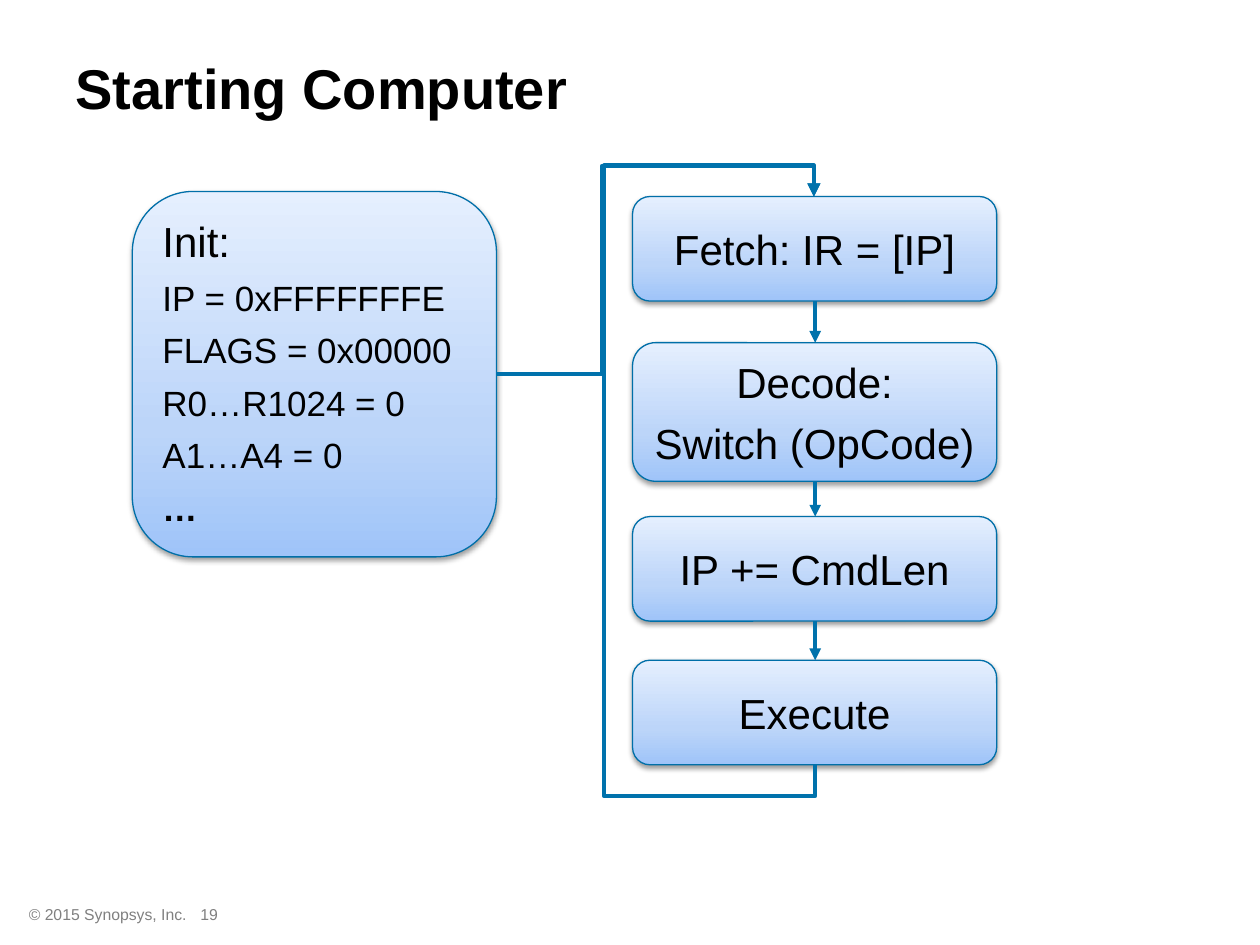
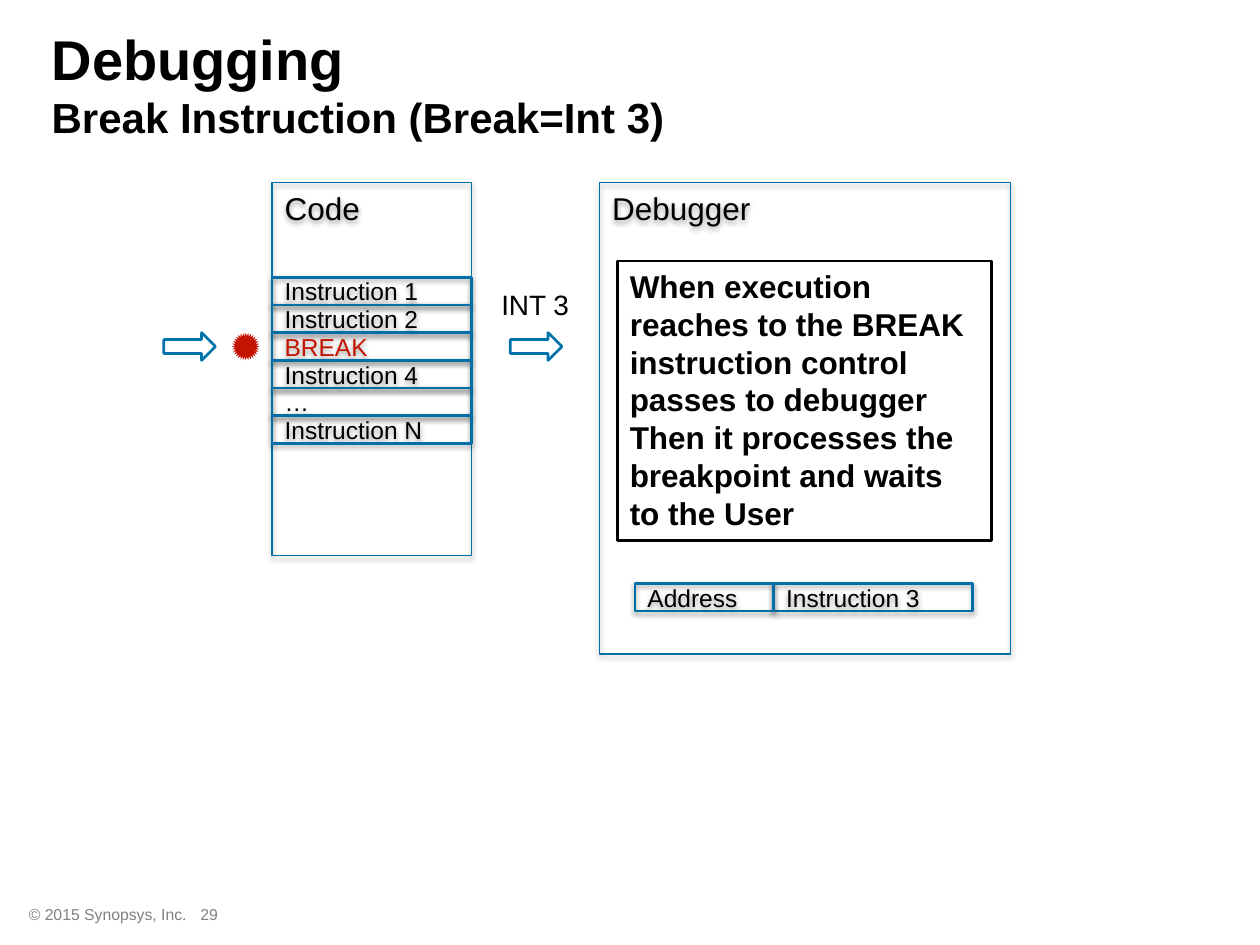
from dataclasses import dataclass
from itertools import pairwise

from lxml import etree
from pptx import Presentation
from pptx.dml.color import RGBColor
from pptx.enum import shapes, text
from pptx.oxml import ns
from pptx.util import Inches, Pt

FONT = "Arial"
COLORS = {
    "ink": "000000",
    "footer": "808080",
    "outline": "006FA8",
    "arrow": "0072AC",
    "break": "C41300",
    "shadow": "000000",
}
BOX_GRADIENT = [(0, "9FC4F9"), (35, "BCD5F9"), (100, "E5EFFE")]

KIND = shapes.MSO_SHAPE
ALIGN = text.PP_ALIGN
ANCHOR = text.MSO_ANCHOR


@dataclass
class Line:
    """One paragraph of text."""
    words: str
    size: float
    color: str = "ink"
    bold: bool = False


@dataclass
class Area:
    """A rectangle on the slide, in inches."""
    left: float
    top: float
    width: float
    height: float

    @property
    def bottom(self) -> float:
        return self.top + self.height

    def lengths(self) -> list:
        return [Inches(v) for v in (self.left, self.top, self.width, self.height)]


@dataclass
class Frame:
    """An outlined box with text and a soft shadow."""
    area: Area
    lines: list
    weight: float = 0.75
    align: ALIGN = ALIGN.LEFT
    anchor: ANCHOR = ANCHOR.TOP
    gradient: bool = False


def rgb(name: str) -> RGBColor:
    return RGBColor.from_string(COLORS[name])


def add_xml(parent, tag: str, **attributes):
    return etree.SubElement(parent, ns.qn(tag), attributes)


def set_font(font, size: float, color: str, bold: bool = False) -> None:
    font.name, font.size, font.bold = FONT, Pt(size), bold
    font.color.rgb = rgb(color)


def write(frame, lines: list, align=ALIGN.LEFT, gap: float = 0) -> None:
    for index, line in enumerate(lines):
        para = frame.add_paragraph() if index else frame.paragraphs[0]
        para.add_run().text = line.words
        para.alignment = align
        if index and gap:
            para.space_before = Pt(gap)
        set_font(para.font, line.size, line.color, line.bold)


def add_label(page, area: Area, line: Line, align=ALIGN.LEFT, wrap: bool = True) -> None:
    box = page.shapes.add_textbox(*area.lengths())
    box.text_frame.word_wrap = wrap
    write(box.text_frame, [line], align)


def add_plain(parent, kind, area: Area, outline: str = "", fill: str = "", weight: float = 1.5):
    """A flat shape without shadow."""
    shape = parent.add_shape(kind, *area.lengths())
    shape.shadow.inherit = False
    if fill:
        shape.fill.solid()
        shape.fill.fore_color.rgb = rgb(fill)
    else:
        shape.fill.background()
    if outline:
        shape.line.color.rgb = rgb(outline)
        shape.line.width = Pt(weight)
    else:
        shape.line.fill.background()
    return shape


def add_shadow(shape) -> None:
    effects = shape._element.spPr.find(ns.qn("a:effectLst"))
    shadow = add_xml(effects, "a:outerShdw", blurRad=str(Pt(3.1)), dist=str(Pt(1.6)),
                     dir="5400000", rotWithShape="0")
    color = add_xml(shadow, "a:srgbClr", val=COLORS["shadow"])
    add_xml(color, "a:alpha", val="38000")


def set_gradient(shape) -> None:
    shape.fill.gradient()
    shape.fill.gradient_angle = 90
    stops = shape._element.spPr.find(".//" + ns.qn("a:gsLst"))
    for stop in list(stops):
        stops.remove(stop)
    for percent, color in BOX_GRADIENT:
        stop = add_xml(stops, "a:gs", pos=str(percent * 1000))
        add_xml(stop, "a:srgbClr", val=color)


def add_frame(parent, frame: Frame) -> None:
    shape = add_plain(parent, KIND.ROUNDED_RECTANGLE, frame.area, "outline", weight=frame.weight)
    add_shadow(shape)
    if frame.gradient:
        set_gradient(shape)
    else:
        shape.adjustments[0] = 0
    shape.text_frame.word_wrap = True
    shape.text_frame.vertical_anchor = frame.anchor
    write(shape.text_frame, frame.lines, frame.align, gap=6)


def add_cell(parent, area: Area, words: str, color: str = "ink") -> None:
    add_frame(parent, Frame(area, [Line(words, 14, color)], 1.5, anchor=ANCHOR.MIDDLE))


def add_arrow(page, start: tuple, end: tuple, weight: float = 2.25,
              preset: str = "", adjust: tuple = (), turn: int = 0) -> None:
    """A straight arrow, or a bent one when a preset is given."""
    kind = shapes.MSO_CONNECTOR.ELBOW if preset else shapes.MSO_CONNECTOR.STRAIGHT
    arrow = page.shapes.add_connector(kind, *[Inches(v) for v in (*start, *end)])
    arrow.line.color.rgb = rgb("arrow")
    arrow.line.width = Pt(weight)
    properties = arrow._element.spPr
    add_xml(properties.find(ns.qn("a:ln")), "a:tailEnd", type="triangle")
    add_xml(properties, "a:effectLst")
    if preset:
        geometry = properties.find(ns.qn("a:prstGeom"))
        geometry.set("prst", preset)
        guides = geometry.find(ns.qn("a:avLst"))
        for number, share in enumerate(adjust, 1):
            add_xml(guides, "a:gd", name=f"adj{number}", fmla=f"val {round(share * 100000)}")
    if turn:
        properties.find(ns.qn("a:xfrm")).set("rot", str(turn * 60000))


def add_page(deck, number: int, title_area: Area, title: str, subtitle: str = ""):
    """A slide with its title and footer."""
    page = deck.slides.add_slide(deck.slide_layouts[5])
    heading = page.shapes.title
    heading.left, heading.top, heading.width, heading.height = title_area.lengths()
    frame = heading.text_frame
    frame.auto_size = text.MSO_AUTO_SIZE.NONE
    frame.vertical_anchor = ANCHOR.MIDDLE
    write(frame, [Line(title, 32, bold=True)])
    if subtitle:
        para = frame.paragraphs[0]
        para.add_line_break()
        span = para.add_run()
        span.text = subtitle
        span.font.size = Pt(24)
    add_label(page, Area(0.13, 7.13, 3.08, 0.25), Line("© 2015 Synopsys, Inc.", 9, "footer"))
    add_label(page, Area(1.31, 7.13, 0.7, 0.25), Line(str(number), 9, "footer"), ALIGN.CENTER)
    return page


def build_starting(deck) -> None:
    page = add_page(deck, 19, Area(0.5, 0.07, 9.5, 1.25), "Starting Computer")

    # Processor cycle
    steps = [
        (1.56, 0.83, ["Fetch: IR = [IP]"]),
        (2.72, 1.1, ["Decode:", "Switch (OpCode)"]),
        (4.1, 0.83, ["IP += CmdLen"]),
        (5.24, 0.83, ["Execute"]),
    ]
    areas = [Area(5.02, top, 2.89, height) for top, height, _ in steps]
    for area, (_, _, words) in zip(areas, steps):
        lines = [Line(word, 24) for word in words]
        add_frame(page.shapes, Frame(area, lines, align=ALIGN.CENTER,
                                     anchor=ANCHOR.MIDDLE, gradient=True))
    for upper, lower in pairwise(areas):
        add_arrow(page, (6.47, upper.bottom), (6.47, lower.top))

    # Loop from the last step back to the first: a connector turned by 90 degrees
    add_arrow(page, (8.72, 3.81), (4.21, 3.82), 2.5, "bentConnector5", (-0.055, 170, 1.055), 90)

    # Initial state and its way into the cycle
    registers = ["IP = 0xFFFFFFFE", "FLAGS = 0x00000", "R0…R1024 = 0", "A1…A4 = 0"]
    lines = [Line("Init:", 24), *[Line(words, 20) for words in registers], Line("…", 20, bold=True)]
    add_frame(page.shapes, Frame(Area(1.05, 1.52, 2.89, 2.9), lines, gradient=True))
    add_arrow(page, (3.94, 2.97), (6.46, 1.56), 2.5, "bentConnector4", (0.332, 1.171))


def build_debugging(deck) -> None:
    page = add_page(deck, 29, Area(0.31, 0.06, 9.5, 1.2),
                    "Debugging", "Break Instruction (Break=Int 3)")
    row = 0.22

    # Debugger with its saved instruction
    add_frame(page.shapes, Frame(Area(4.76, 1.45, 3.26, 3.74), [Line("Debugger", 18)]))
    saved = page.shapes.add_group_shape().shapes
    add_cell(saved, Area(6.14, 4.63, 1.58, row), "Instruction 3")
    add_cell(saved, Area(5.04, 4.63, 1.1, row), "Address")

    # Code listing with the breakpoint mark
    code = page.shapes.add_group_shape().shapes
    add_frame(code, Frame(Area(2.16, 1.45, 1.58, 2.96), [Line("Code", 18)]))
    instructions = ["Instruction 1", "Instruction 2", "BREAK", "Instruction 4", "…", "Instruction N"]
    for index, words in enumerate(instructions):
        color = "break" if words == "BREAK" else "ink"
        add_cell(code, Area(2.16, 2.2 + index * row, 1.58, row), words, color)
    break_top = 2.2 + instructions.index("BREAK") * row
    add_plain(code, KIND.STAR_32_POINT, Area(1.84, break_top, 0.22, row), fill="break")

    # Control flow
    for left in (1.3, 4.05):
        add_plain(page.shapes, KIND.RIGHT_ARROW, Area(left, break_top, 0.41, row), "arrow")
    add_label(page, Area(3.88, 2.23, 0.75, 0.37), Line("INT 3", 16), wrap=False)

    # Explanation
    note = add_plain(page.shapes, KIND.RECTANGLE, Area(4.9, 2.07, 2.97, 2.22), "ink")
    note.text_frame.word_wrap = True
    note.text_frame.vertical_anchor = ANCHOR.TOP
    write(note.text_frame, [
        Line("When execution reaches to the BREAK instruction control passes to debugger", 18, bold=True),
        Line("Then it processes the breakpoint and waits to the User", 18, bold=True),
    ])


def main() -> None:
    deck = Presentation()
    deck.slide_width, deck.slide_height = Inches(10), Inches(7.5)
    build_starting(deck)
    build_debugging(deck)
    deck.save("out.pptx")


if __name__ == "__main__":
    main()
